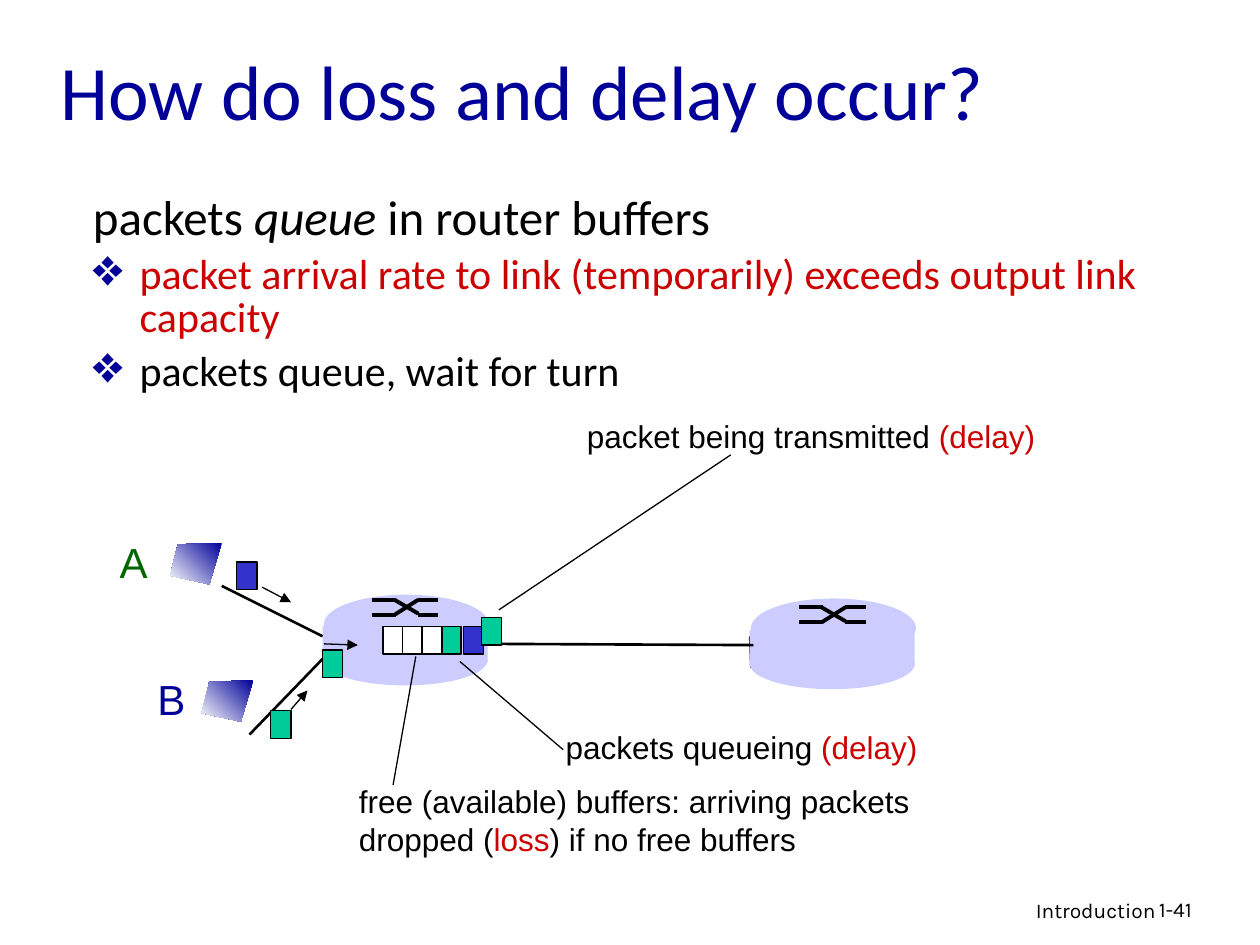
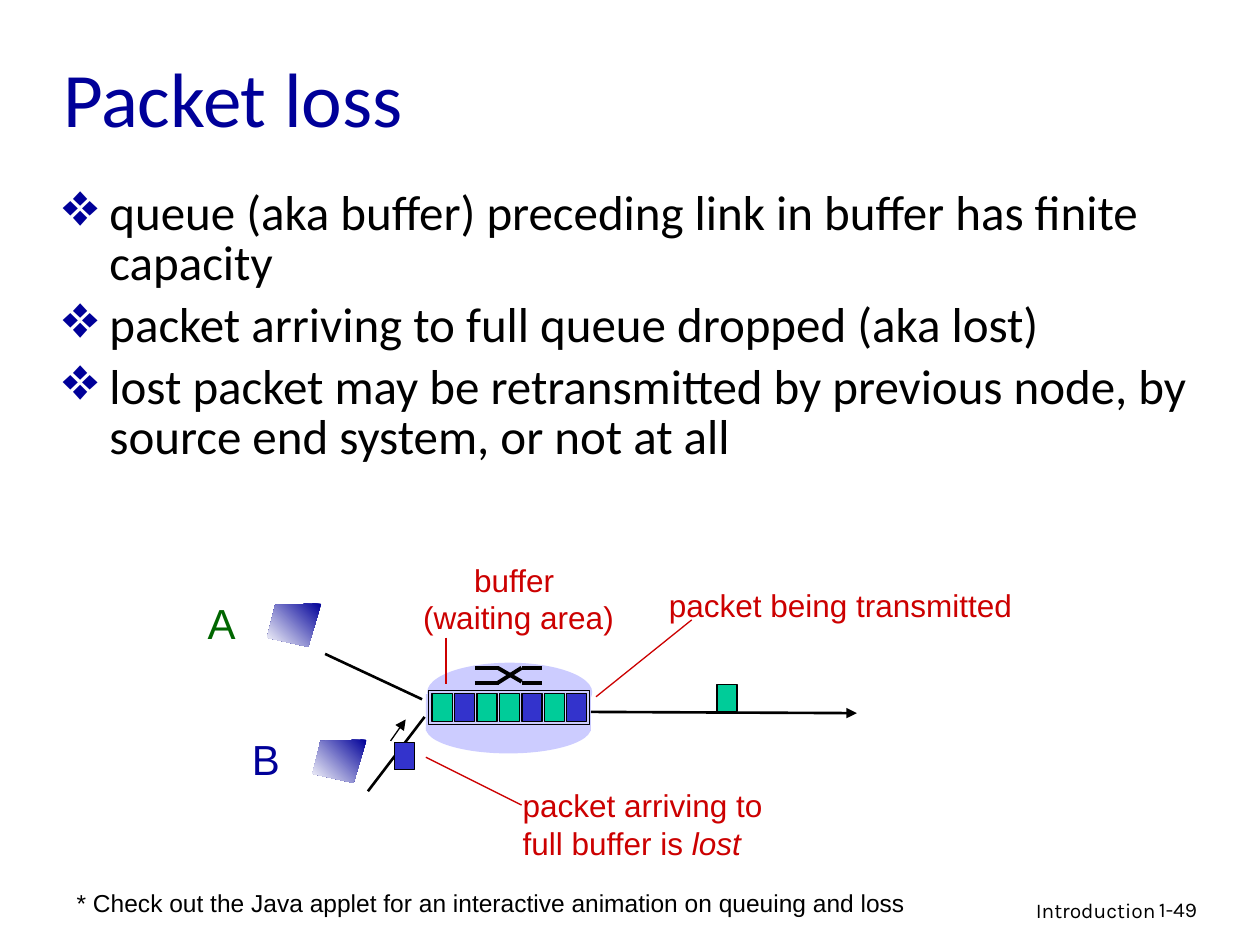
from dataclasses import dataclass

from lxml.etree import SubElement
from pptx import Presentation
from pptx.dml.color import RGBColor
from pptx.enum.shapes import MSO_CONNECTOR as Connector, MSO_SHAPE as Shape
from pptx.enum.text import MSO_ANCHOR as Anchor, MSO_AUTO_SIZE as AutoSize, PP_ALIGN as Align
from pptx.oxml.ns import qn
from pptx.util import Inches, Pt


@dataclass(frozen=True)
class Theme:
    # Colours
    navy: str = "000099"
    red: str = "CC0000"
    black: str = "000000"
    white: str = "FFFFFF"
    host_a: str = "006600"
    router: str = "CCCCFF"
    green: str = "00CC99"
    blue: str = "3333CC"
    # Fonts
    heading: str = "Calibri"
    label: str = "Arial"
    footer: str = "Karla"
    # Type sizes
    title_size: int = 44
    lead_size: int = 28
    bullet_size: int = 24
    host_size: int = 24
    label_size: int = 18
    note_size: int = 14
    footer_size: int = 12
    # Line widths
    thin: float = 0.75
    link: float = 1.5
    thick: float = 2.25


THEME = Theme()
WIDTH, HEIGHT = Inches(10), Inches(7.5)
COLUMNS, ROWS = 100, 75
PACKET_WIDTH, PACKET_HEIGHT = 1.6, 2.2
# Strokes of the crossing symbol on a router, from its top left corner
CROSSING = [((0, 0), (1.9, 0)), ((3.7, 1.2), (5.3, 1.2)), ((1.8, 0), (3.7, 1.1)),
            ((0, 1.2), (1.9, 1.2)), ((3.7, 0), (5.3, 0)), ((1.8, 1.2), (3.7, 0))]
HOST_OUTLINE = [(1, 0), (0.15, 0.03), (0, 0.79), (0.76, 1)]


def column(count):
    return round(WIDTH * count / COLUMNS)


def row(count):
    return round(HEIGHT * count / ROWS)


def box(left, top, width, height):
    return column(left), row(top), column(width), row(height)


def rgb(value):
    return RGBColor.from_string(value)


# ---- Text ----
def add_runs(paragraph, runs, font, size):
    """Each run is (text, colour) or (text, colour, italic)."""
    for text, colour, *italic in runs:
        run = paragraph.add_run()
        run.text = text
        run.font.name, run.font.size = font, Pt(size)
        run.font.color.rgb = rgb(colour)
        run.font.italic = bool(italic and italic[0])


def add_text(slide, area, lines, font=THEME.label, size=THEME.label_size,
             align=Align.LEFT, wrap=False):
    frame = slide.shapes.add_textbox(*box(*area)).text_frame
    frame.word_wrap = wrap
    frame.auto_size = AutoSize.NONE if wrap else AutoSize.SHAPE_TO_FIT_TEXT
    for index, runs in enumerate(lines):
        paragraph = frame.paragraphs[0] if index == 0 else frame.add_paragraph()
        paragraph.alignment = align
        add_runs(paragraph, runs, font, size)


def hang(paragraph, indent, bullet):
    properties = paragraph._p.get_or_add_pPr()
    properties.set("marL", str(column(indent)))
    properties.set("indent", str(-column(3.7)))
    if bullet:
        colour = SubElement(properties, qn("a:buClr"))
        SubElement(colour, qn("a:srgbClr"), val=THEME.navy)
        SubElement(properties, qn("a:buSzPct"), val="125000")
        SubElement(properties, qn("a:buChar"), char="❖")
    else:
        SubElement(properties, qn("a:buNone"))


def add_body(slide, area, items, indent, gap):
    """Each item is (runs, size, has a bullet)."""
    frame = slide.shapes.add_textbox(*box(*area)).text_frame
    frame.word_wrap = True
    for index, (runs, size, bullet) in enumerate(items):
        paragraph = frame.paragraphs[0] if index == 0 else frame.add_paragraph()
        hang(paragraph, indent, bullet)
        paragraph.line_spacing = 0.85
        paragraph.space_before = Pt(gap if index else 0)
        add_runs(paragraph, runs, THEME.heading, size)


def add_slide(presentation, title, left, top, number):
    slide = presentation.slides.add_slide(presentation.slide_layouts[5])
    holder = slide.shapes.title
    holder.left, holder.top, holder.width, holder.height = box(left, top, 85, 12.5)
    frame = holder.text_frame
    frame.auto_size, frame.word_wrap = AutoSize.NONE, True
    frame.vertical_anchor = Anchor.MIDDLE
    frame.paragraphs[0].alignment = Align.LEFT
    add_runs(frame.paragraphs[0], [(title, THEME.navy)], THEME.heading, THEME.title_size)
    # Footer
    for text, area, align in (("Introduction", (61, 70.7, 31.7, 3.1), Align.RIGHT),
                              (number, (91, 70.7, 7.4, 3), Align.LEFT)):
        add_text(slide, area, [[(text, THEME.black)]], THEME.footer,
                 THEME.footer_size, align, wrap=True)
    return slide


# ---- Drawing ----
def add_line(slide, start, end, width=THEME.thin, colour=THEME.black, arrow=False):
    connector = slide.shapes.add_connector(
        Connector.STRAIGHT, column(start[0]), row(start[1]), column(end[0]), row(end[1]))
    connector.line.color.rgb = rgb(colour)
    connector.line.width = Pt(width)
    properties = connector._element.spPr
    if arrow:
        SubElement(properties.find(qn("a:ln")), qn("a:tailEnd"), type="triangle")
    SubElement(properties, qn("a:effectLst"))


def add_block(slide, kind, area, fill=None, outlined=False):
    shape = slide.shapes.add_shape(kind, *box(*area))
    shape.shadow.inherit = False
    if fill:
        shape.fill.solid()
        shape.fill.fore_color.rgb = rgb(fill)
    else:
        shape.fill.background()
    if outlined:
        shape.line.color.rgb = rgb(THEME.black)
        shape.line.width = Pt(THEME.thin)
    else:
        shape.line.fill.background()


def add_router(slide, left, top, rise=0.4):
    add_block(slide, Shape.OVAL, (left, top + 3.2, 13.1, 4), THEME.router)
    add_block(slide, Shape.RECTANGLE, (left, top + 2.5, 13.1, 2.9), THEME.router)
    add_block(slide, Shape.OVAL, (left + 0.1, top, 13.1, 4.7), THEME.router)
    for start, end in CROSSING:
        points = [(left + 3.9 + x, top + rise + y) for x, y in (start, end)]
        add_line(slide, *points, THEME.thick)


def add_packets(slide, left, top, colours, pitch=0):
    for index, colour in enumerate(colours):
        add_block(slide, Shape.RECTANGLE,
                  (left + index * pitch, top, PACKET_WIDTH, PACKET_HEIGHT), colour, True)


def add_host(slide, name, colour, left, top, width, label_left):
    corners = [(column(left + x * width), row(top + y * width * 0.8)) for x, y in HOST_OUTLINE]
    builder = slide.shapes.build_freeform(*corners[0])
    builder.add_line_segments(corners[1:], close=True)
    screen = builder.convert_to_shape()
    screen.shadow.inherit = False
    screen.line.fill.background()
    screen.fill.gradient()
    screen.fill.gradient_angle = 225
    for stop, shade in zip(screen.fill.gradient_stops, (THEME.navy, THEME.white)):
        stop.color.rgb = rgb(shade)
    add_text(slide, (label_left, top - 1, 4.2, 5), [[(name, colour)]], size=THEME.host_size)


# ---- Slides ----
def loss_and_delay(presentation):
    black, red, green, blue = THEME.black, THEME.red, THEME.green, THEME.blue
    slide = add_slide(presentation, "How do loss and delay occur?", 3.8, 0.9, "1-41")
    add_body(slide, (6.3, 15, 93.7, 23.1), [
        ([("packets ", black), ("queue", black, True), (" in router buffers", black)],
         THEME.lead_size, False),
        ([("packet arrival rate to link (temporarily) exceeds output link capacity", red)],
         THEME.bullet_size, True),
        ([("packets queue, wait for turn", black)], THEME.bullet_size, True),
    ], indent=3.8, gap=6)

    # Routers and links
    add_router(slide, 25.6, 47.2)
    add_line(slide, (59.5, 50.5), (59.6, 53), 1)
    add_router(slide, 59.5, 47.5, rise=0.7)
    for start, end in (((17.6, 46.5), (25.6, 50.5)), ((19.8, 58.3), (25.6, 52.3)),
                       ((38.6, 51.1), (59.8, 51.2))):
        add_line(slide, start, end, THEME.link)

    # Packets in the queue and on the links
    add_packets(slide, 35, 49.7, [green, blue], 1.8)
    add_packets(slide, 30.4, 49.7, [THEME.white] * 3, 1.55)
    for left, top, colour in ((25.6, 51.6, green), (38.2, 49, green),
                              (18.8, 44.6, blue), (21.5, 56.4, green)):
        add_packets(slide, left, top, [colour])
    for start, end in (((25.7, 51.1), (28.4, 51.2)), ((23.1, 56.3), (24.4, 54.8)),
                       ((20.8, 46.6), (23.1, 47.8))):
        add_line(slide, start, end, arrow=True)

    # Hosts
    add_host(slide, "A", THEME.host_a, 13.5, 43.1, 4.1, 8.5)
    add_host(slide, "B", THEME.navy, 16, 54, 4.1, 11.5)

    # Labels and their leaders
    add_text(slide, (45.6, 32.6, 38, 4),
             [[("packet being transmitted ", black), ("(delay)", red)]])
    add_text(slide, (43.9, 57.3, 30.5, 4), [[("packets queueing ", black), ("(delay)", red)]])
    add_text(slide, (27.5, 61.6, 47, 7), [
        [("free (available) buffers: arriving packets", black)],
        [("dropped (", black), ("loss", red), (") if no free buffers", black)]])
    for start, end in (((58, 36.1), (39.6, 48.4)), ((44.7, 59.5), (36.5, 52.5)),
                       ((31.2, 62.3), (33, 52.1))):
        add_line(slide, start, end)


def packet_loss(presentation):
    black, red, green, blue = THEME.black, THEME.red, THEME.green, THEME.blue
    slide = add_slide(presentation, "Packet loss", 4, 1.4, "1-49")
    points = ["queue (aka buffer) preceding link in buffer has finite capacity",
              "packet arriving to full queue dropped (aka lost)",
              "lost packet may be retransmitted by previous node, by source end system, "
              "or not at all"]
    add_body(slide, (4, 14.6, 91.8, 50.8),
             [([(point, black)], THEME.lead_size, True) for point in points],
             indent=3.7, gap=7)

    # Router and links
    add_router(slide, 33.8, 52.6)
    add_line(slide, (25.8, 51.9), (33.5, 55.5), THEME.link)
    add_line(slide, (29.2, 62.8), (33.7, 56.9), THEME.link)
    add_line(slide, (46.9, 56.5), (68, 56.6), THEME.link, arrow=True)

    # Full buffer, one packet leaving and one arriving
    add_packets(slide, 34.3, 55.05, [green, blue, green, green, blue, green, blue], 1.78)
    add_block(slide, Shape.RECTANGLE, (34, 54.8, 12.8, 2.7), outlined=True)
    add_packets(slide, 56.9, 54.3, [green])
    add_packets(slide, 31.3, 58.9, [blue])
    add_line(slide, (31, 58.8), (32.2, 57.1), arrow=True)

    # Hosts
    add_host(slide, "A", THEME.host_a, 21.2, 47.9, 4.3, 15.5)
    add_host(slide, "B", THEME.navy, 24.8, 58.7, 4.3, 19)

    # Labels and their leaders
    add_text(slide, (52.1, 46, 30, 4), [[("packet being transmitted", red)]])
    add_text(slide, (40.5, 61.9, 22, 7), [
        [("packet arriving to", red)], [("full buffer is ", red), ("lost", red, True)]])
    add_text(slide, (32.1, 44, 18.1, 7), [[("buffer ", red)], [("(waiting area)", red)]],
             align=Align.CENTER)
    for start, end in (((54.9, 49.2), (47.3, 55.3)), ((41.4, 63.9), (33.8, 60.1)),
                       ((35.4, 50.6), (35.4, 54.3))):
        add_line(slide, start, end, colour=red)
    add_text(slide, (5.1, 70, 68.5, 3.4),
             [[("* Check out the Java applet for an interactive animation on queuing and loss",
                black)]], size=THEME.note_size)


def main():
    presentation = Presentation()
    presentation.slide_width, presentation.slide_height = WIDTH, HEIGHT
    loss_and_delay(presentation)
    packet_loss(presentation)
    presentation.save("out.pptx")


if __name__ == "__main__":
    main()
